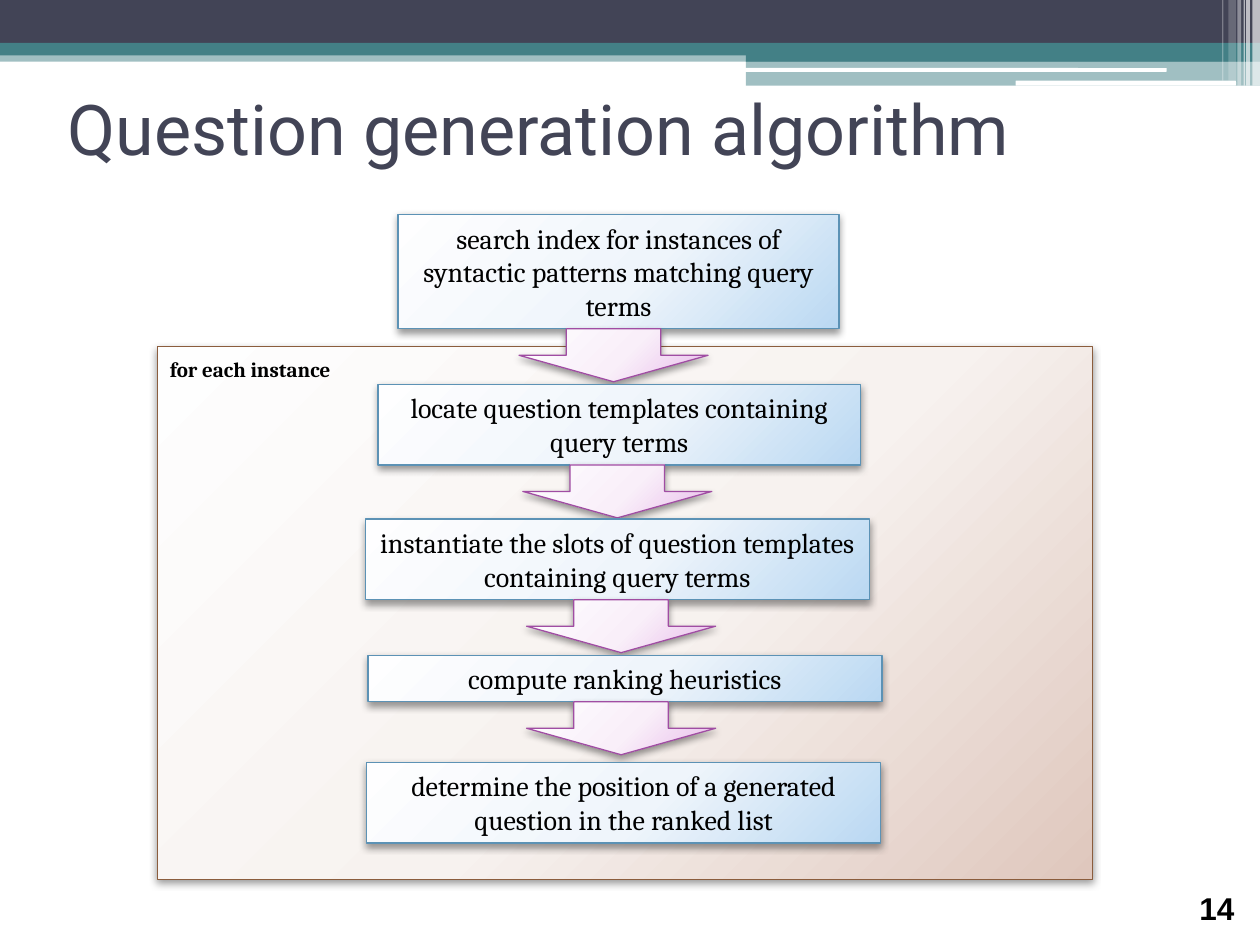
from lxml.etree import SubElement
from pptx import Presentation
from pptx.dml.color import RGBColor
from pptx.enum.shapes import MSO_SHAPE
from pptx.enum.text import MSO_ANCHOR, MSO_AUTO_SIZE, PP_ALIGN
from pptx.oxml import parse_xml
from pptx.oxml.ns import nsdecls, qn
from pptx.util import Inches, Pt

COLORS = {
    "navy": "424456", "teal": "438086", "white": "FFFFFF", "black": "000000",
    "blue": "5C92B5", "brown": "8B5D3D", "purple": "A04DA3",
}
GRADS = {
    "blue": ("FEFEFF", "EFF5FB", "BAD8F2"),
    "brown": ("FEFEFE", "F7F2EF", "DFC7BD"),
    "purple": ("FEFEFF", "F9EFF9", "E8BBEA"),
}
STOPS = (0, 55, 100)

# left, top, width, height, colour, opacity in percent
BANDS = [
    (0, 0.4, 10, 0.09, "teal", 50),
    (0, 0, 10, 0.34, "navy", 100),
    (0, 0.34, 10, 0.1, "teal", 100),
    (5.92, 0.39, 4.08, 0.1, "teal", 100),
    (5.92, 0.48, 4.08, 0.2, "teal", 50),
]
RULES = [(5.91, 0.54, 3.35, 0.03), (8.06, 0.64, 1.75, 0.04)]
# left, width, height, opacity
STRIPES = [
    (9.94, 0.06, 0.68, 65), (9.89, 0.03, 0.68, 65), (9.87, 0.01, 0.68, 60),
    (9.82, 0.03, 0.68, 40), (9.75, 0.06, 0.64, 20), (9.7, 0.01, 0.64, 30),
]
# left, top, width, height, text, left of the arrow below
STEPS = [
    (3.16, 1.7, 3.5, 0.91, "search index for instances of syntactic "
     "patterns matching query terms", 4.12),
    (3, 3.05, 3.83, 0.64,
     "locate question templates containing query terms", 4.15),
    (2.9, 4.12, 4, 0.64, "instantiate the slots of question templates "
     "containing query terms", 4.18),
    (2.92, 5.2, 4.08, 0.37, "compute ranking heuristics", 4.18),
    (2.91, 6.05, 4.08, 0.64, "determine the position of a generated "
     "question in the ranked list", None),
]


def add_shape(slide, kind, box, color, alpha=100):
    """Add a plain filled shape without outline or shadow."""
    shape = slide.shapes.add_shape(kind, *map(Inches, box))
    shape.shadow.inherit = False
    shape.fill.solid()
    shape.fill.fore_color.rgb = RGBColor.from_string(COLORS[color])
    shape.line.fill.background()
    if alpha < 100:
        rgb = shape.fill._xPr.find(qn("a:solidFill"))[0]
        SubElement(rgb, qn("a:alpha"), val=str(alpha * 1000))
    return shape


def add_glow(slide, kind, box, color):
    """Add an outlined shape with a radial gradient and a soft shadow."""
    shape = add_shape(slide, kind, box, color)
    shape.line.color.rgb = RGBColor.from_string(COLORS[color])
    shape.line.width = Pt(0.75)
    stops = "".join(
        f'<a:gs pos="{pos * 1000}"><a:srgbClr val="{rgb}"/></a:gs>'
        for pos, rgb in zip(STOPS, GRADS[color]))
    grad = parse_xml(
        f'<a:gradFill {nsdecls("a")} rotWithShape="1"><a:gsLst>{stops}</a:gsLst>'
        '<a:path path="circle"><a:fillToRect l="-40000" t="-90000" '
        'r="140000" b="190000"/></a:path></a:gradFill>')
    props = shape.fill._xPr
    props.replace(props.find(qn("a:solidFill")), grad)
    shadow = SubElement(
        props.find(qn("a:effectLst")), qn("a:outerShdw"),
        blurRad=str(Pt(4.1)), dist=str(Pt(2)), dir="5400000", rotWithShape="0")
    rgb = SubElement(shadow, qn("a:srgbClr"), val=COLORS["black"])
    SubElement(rgb, qn("a:alpha"), val="40000")
    return shape


def add_run(shape, text, size, font, color="black", bold=False):
    frame = shape.text_frame
    frame.word_wrap = True
    run = frame.paragraphs[0].add_run()
    run.text = text
    run.font.size = Pt(size)
    run.font.name = font
    run.font.bold = bold
    run.font.color.rgb = RGBColor.from_string(COLORS[color])
    return frame


def add_label(slide, box, *style, **extra):
    shape = slide.shapes.add_textbox(*map(Inches, box))
    return add_run(shape, *style, **extra)


def add_header(slide):
    for *box, color, alpha in BANDS:
        add_shape(slide, MSO_SHAPE.RECTANGLE, box, color, alpha)
    for box in RULES:
        add_shape(slide, MSO_SHAPE.ROUNDED_RECTANGLE, box, "white")
    for left, width, height, alpha in STRIPES:
        add_shape(slide, MSO_SHAPE.RECTANGLE, (left, 0, width, height),
                  "white", alpha)


def add_step(slide, left, top, width, height, text, arrow):
    """Add a step box and, if it has one, the arrow under it."""
    box = add_glow(slide, MSO_SHAPE.RECTANGLE,
                   (left, top, width, height), "blue")
    frame = add_run(box, text, 16, "Cambria")
    frame.auto_size = MSO_AUTO_SIZE.SHAPE_TO_FIT_TEXT
    frame.paragraphs[0].alignment = PP_ALIGN.CENTER
    if arrow is not None:
        add_glow(slide, MSO_SHAPE.DOWN_ARROW,
                 (arrow, top + height, 1.5, 0.42), "purple")


def main():
    deck = Presentation()
    deck.slide_width, deck.slide_height = Inches(10), Inches(7.5)
    slide = deck.slides.add_slide(deck.slide_layouts[6])
    add_header(slide)
    title = add_label(slide, (0.44, 0.43, 9, 1.17),
                      "Question generation algorithm", 40, "Roboto", "navy")
    title.vertical_anchor = MSO_ANCHOR.MIDDLE
    add_glow(slide, MSO_SHAPE.RECTANGLE, (1.25, 2.75, 7.42, 4.23), "brown")
    add_label(slide, (1.25, 2.78, 1.67, 0.3), "for each instance",
              12, "Cambria", bold=True)
    for step in STEPS:
        add_step(slide, *step)
    add_label(slide, (9.42, 7.01, 0.5, 0.4), "14", 18, "Arial", bold=True)
    deck.save("out.pptx")


if __name__ == "__main__":
    main()
